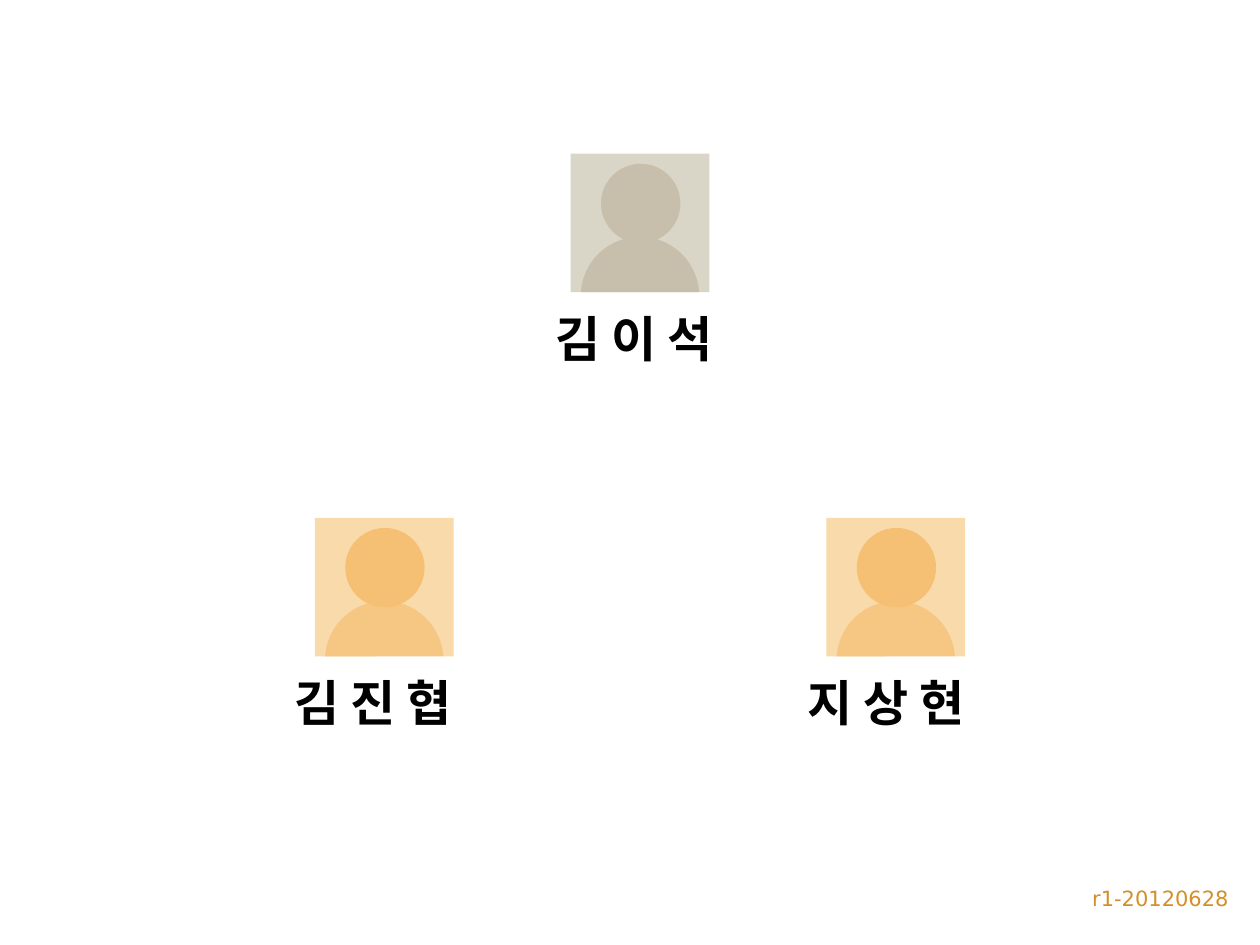
from dataclasses import dataclass

from pptx import Presentation
from pptx import util as u
from pptx.dml.color import RGBColor
from pptx.enum import shapes, text


@dataclass(frozen=True)
class Theme:
    font: str = "DejaVu Sans"
    name_size: int = 28
    revision_size: int = 12
    name_color: str = "000000"
    revision_color: str = "D48F29"
    # Avatar colours: background, shoulders, head
    grey: tuple = ("D9D5C7", "C7BFAC", "C7BFAC")
    orange: tuple = ("F9DAAB", "F6C782", "F5C073")


class SlideBuilder:
    def __init__(self, slide, theme):
        self.slide = slide
        self.theme = theme

    def shape(self, parent, kind, left, top, size, color):
        sp = parent.shapes.add_shape(
            kind, u.Inches(left), u.Inches(top), u.Inches(size), u.Inches(size))
        sp.shadow.inherit = False
        sp.fill.solid()
        sp.fill.fore_color.rgb = RGBColor.from_string(color)
        sp.line.fill.background()
        return sp

    def avatar(self, left, top, colors):
        kinds = shapes.MSO_SHAPE
        back, shoulders, head = colors
        group = self.slide.shapes.add_group_shape()
        self.shape(group, kinds.RECTANGLE, left, top, 1.1, back)
        body = self.shape(group, kinds.CHORD, left + 0.08, top + 0.66, 0.94, shoulders)
        # Keep the upper half of the circle, cut at the square's bottom edge
        body.adjustments[0] = 110.27
        body.adjustments[1] = 213.68
        self.shape(group, kinds.OVAL, left + 0.24, top + 0.08, 0.63, head)

    def label(self, words, left, top, width, height, size, color,
              bold=False, wrap=False, align=None):
        sp = self.slide.shapes.add_textbox(
            u.Inches(left), u.Inches(top), u.Inches(width), u.Inches(height))
        tf = sp.text_frame
        tf.text = words
        tf.word_wrap = wrap
        if not wrap:
            tf.auto_size = text.MSO_AUTO_SIZE.SHAPE_TO_FIT_TEXT
        p = tf.paragraphs[0]
        p.alignment = align
        font = p.runs[0].font
        font.name = self.theme.font
        font.size = u.Pt(size)
        font.bold = bold
        font.color.rgb = RGBColor.from_string(color)

    def member(self, name, left, top, name_left, colors):
        self.avatar(left, top, colors)
        self.label(name, name_left, top + 1.18, 1.58, 0.57,
                   self.theme.name_size, self.theme.name_color, bold=True)


def main():
    prs = Presentation()
    prs.slide_width, prs.slide_height = u.Inches(10), u.Inches(7.5)
    theme = Theme()
    builder = SlideBuilder(prs.slides.add_slide(prs.slide_layouts[6]), theme)

    # Team members: name, avatar left and top, name left, colours
    members = [
        ("김 이 석", 4.53, 1.22, 4.31, theme.grey),
        ("김 진 협", 2.5, 4.11, 2.24, theme.orange),
        ("지 상 현", 6.56, 4.11, 6.31, theme.orange),
    ]
    for member in members:
        builder.member(*member)

    # Revision mark
    builder.label("r1-20120628", 6.18, 6.98, 3.67, 0.32,
                  theme.revision_size, theme.revision_color,
                  wrap=True, align=text.PP_ALIGN.RIGHT)

    prs.save("out.pptx")


if __name__ == "__main__":
    main()
